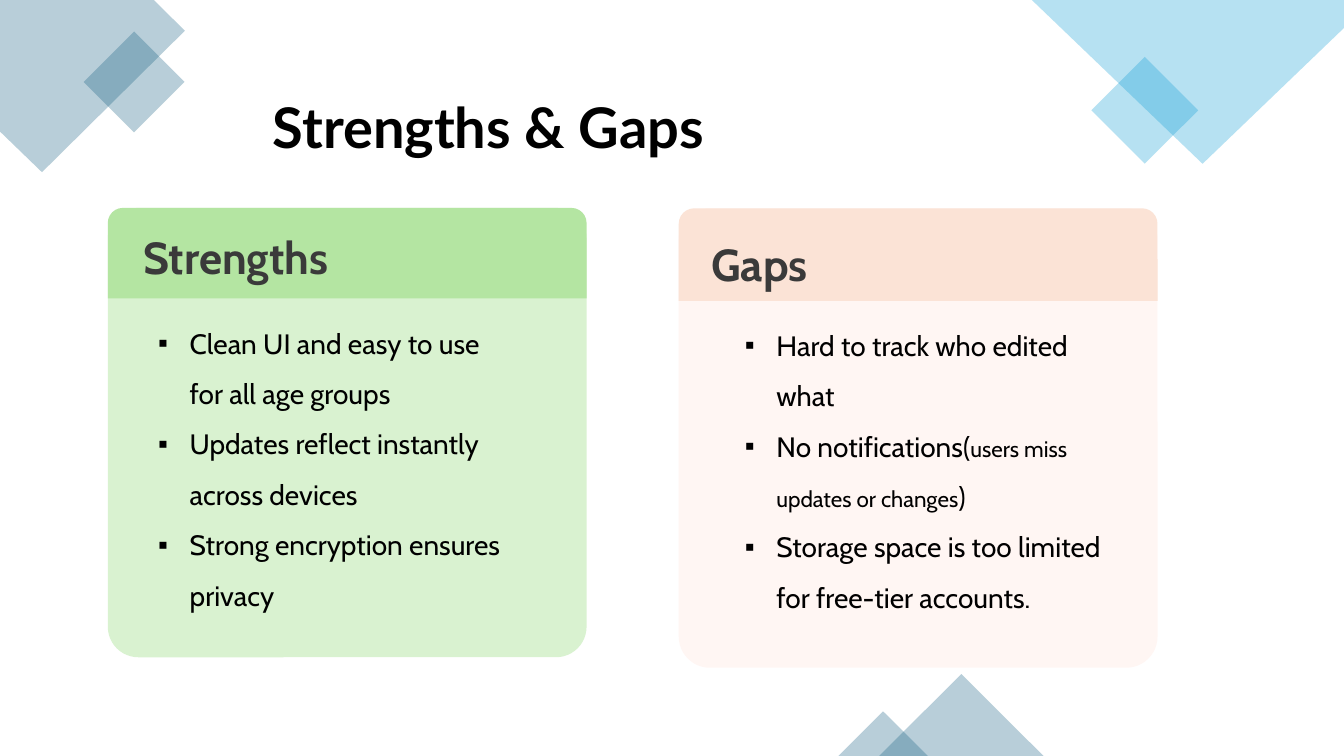
from dataclasses import dataclass

from lxml.etree import SubElement
from pptx import Presentation
from pptx.dml.color import RGBColor
from pptx.enum.shapes import MSO_SHAPE
from pptx.enum.text import MSO_ANCHOR, MSO_AUTO_SIZE, PP_ALIGN
from pptx.oxml.ns import qn
from pptx.util import Pt

BLACK = RGBColor(0x00, 0x00, 0x00)
CHARCOAL = RGBColor(0x3A, 0x3A, 0x3A)
TEAL = RGBColor(0x15, 0x60, 0x82)
SKY = RGBColor(0x0F, 0x9E, 0xD5)
GREEN_HEAD = RGBColor(0xB4, 0xE5, 0xA2)
GREEN_BODY = RGBColor(0xD9, 0xF2, 0xD0)
PEACH_HEAD = RGBColor(0xFB, 0xE3, 0xD6)
PEACH_BODY = RGBColor(0xFF, 0xF6, 0xF3)

COMPARISON_LAYOUT = 4
CARD_WIDTH = 342
BULLET_INDENT = 22.5
LIST_SIZE = 20
NOTE_SIZE = 16


@dataclass
class Box:
    left: float
    top: float
    width: float
    height: float

    def lengths(self) -> tuple:
        return Pt(self.left), Pt(self.top), Pt(self.width), Pt(self.height)


@dataclass
class Decoration:
    kind: MSO_SHAPE
    box: Box
    color: RGBColor
    rotation: float = 0


@dataclass
class Corner:
    points: list
    color: RGBColor


@dataclass
class Card:
    left: float
    top: float
    height: float
    head_height: float
    head_color: RGBColor
    body_color: RGBColor
    heading: str
    heading_box: Box
    list_box: Box
    bullets: list
    first_idx: int


CORNERS = [
    Corner([(110.2, 0), (0, 0), (0, 93.6), (29.6, 123.2), (131.8, 21.6)], TEAL),
    Corner([(960, 0), (736.6, 0), (859, 116.6), (960, 20.2)], SKY),
]

DECORATIONS = [
    Decoration(MSO_SHAPE.RECTANGLE, Box(70.3, 33, 51, 51), TEAL, 315),
    Decoration(MSO_SHAPE.RECTANGLE, Box(790.7, 51.8, 54, 54), SKY, 315),
    Decoration(MSO_SHAPE.ISOSCELES_TRIANGLE, Box(628, 481.5, 117.4, 58.5), TEAL),
    Decoration(MSO_SHAPE.ISOSCELES_TRIANGLE, Box(598.9, 508.1, 63.8, 31.9), TEAL),
]

CARDS = [
    Card(77, 148.5, 321, 64.6, GREEN_HEAD, GREEN_BODY,
         "Strengths", Box(21.3, 141.1, 294.5, 66.2),
         Box(105.8, 217.4, 262.1, 247),
         [[("Clean UI and easy to use for all age groups", LIST_SIZE)],
          [("Updates reflect instantly across devices", LIST_SIZE)],
          [("Strong encryption ensures privacy", LIST_SIZE)]], 1),
    Card(484.8, 148.8, 328.2, 66.2, PEACH_HEAD, PEACH_BODY,
         "Gaps", Box(395.3, 146.2, 294.5, 59.8),
         Box(524.9, 218.9, 277.2, 247),
         [[("Hard to track who edited what", LIST_SIZE)],
          [("No notifications(", LIST_SIZE),
           ("users miss updates or changes", NOTE_SIZE),
           (")", LIST_SIZE)],
          [("Storage space is too limited for free-tier accounts.", LIST_SIZE)]], 3),
]


def paint(sp, color: RGBColor, opacity: int = 100) -> None:
    sp.shadow.inherit = False
    sp.line.fill.background()
    sp.fill.solid()
    sp.fill.fore_color.rgb = color
    if opacity < 100:
        clr = sp.element.spPr.find(qn("a:solidFill"))[0]
        SubElement(clr, qn("a:alpha"), val=str(opacity * 1000))


def draw_corner(s, corner: Corner) -> None:
    start, *rest = corner.points
    builder = s.shapes.build_freeform(*start, scale=Pt(1))
    builder.add_line_segments(rest, close=True)
    paint(builder.convert_to_shape(), corner.color, 30)


def draw_decoration(s, item: Decoration) -> None:
    sp = s.shapes.add_shape(item.kind, *item.box.lengths())
    sp.rotation = item.rotation
    paint(sp, item.color, 30)


def place(sp, box: Box):
    sp.left, sp.top, sp.width, sp.height = box.lengths()
    sp.element.getparent().append(sp.element)
    tf = sp.text_frame
    tf.word_wrap = True
    tf.auto_size = MSO_AUTO_SIZE.NONE
    tf.vertical_anchor = MSO_ANCHOR.TOP
    return tf


def style_run(r, font: str, size: float, color: RGBColor, bold: bool) -> None:
    r.font.name = font
    r.font.size = Pt(size)
    r.font.bold = bold
    r.font.color.rgb = color


def write_heading(sp, box: Box, text: str, font: str, size: float,
                  color: RGBColor, spacing: float) -> None:
    tf = place(sp, box)
    tf.text = text
    p = tf.paragraphs[0]
    p.alignment = PP_ALIGN.CENTER
    p.line_spacing = spacing
    p.space_before = Pt(0)
    style_run(p.runs[0], font, size, color, True)


def write_list(sp, box: Box, bullets: list) -> None:
    tf = place(sp, box)
    for i, parts in enumerate(bullets):
        p = tf.add_paragraph() if i else tf.paragraphs[0]
        p.line_spacing = 1.5
        p.space_before = Pt(0)
        pPr = p._p.get_or_add_pPr()
        pPr.set("marL", str(Pt(BULLET_INDENT)))
        pPr.set("indent", str(-Pt(BULLET_INDENT)))
        SubElement(pPr, qn("a:buFont"), typeface="Arial")
        SubElement(pPr, qn("a:buChar"), char="▪")
        for text, size in parts:
            r = p.add_run()
            r.text = text
            style_run(r, "Cabin", size, BLACK, False)


def draw_card(s, card: Card, placeholders: dict) -> None:
    body = Box(card.left, card.top, CARD_WIDTH, card.height)
    head = Box(card.left, card.top, CARD_WIDTH, card.head_height)
    sp = s.shapes.add_shape(MSO_SHAPE.ROUNDED_RECTANGLE, *body.lengths())
    sp.adjustments[0] = 0.068
    paint(sp, card.body_color)
    write_list(placeholders[card.first_idx + 1], card.list_box, card.bullets)
    sp = s.shapes.add_shape(MSO_SHAPE.ROUND_2_SAME_RECTANGLE, *head.lengths())
    paint(sp, card.head_color)
    write_heading(placeholders[card.first_idx], card.heading_box,
                  card.heading, "Cabin", 32, CHARCOAL, 1.5)


def main() -> None:
    prs = Presentation()
    prs.slide_width, prs.slide_height = Pt(960), Pt(540)
    s = prs.slides.add_slide(prs.slide_layouts[COMPARISON_LAYOUT])
    placeholders = {sp.placeholder_format.idx: sp for sp in s.placeholders}
    for corner in CORNERS:
        draw_corner(s, corner)
    for item in DECORATIONS:
        draw_decoration(s, item)
    write_heading(s.shapes.title, Box(167.8, 62.6, 362.2, 55.4),
                  "Strengths & Gaps", "Lato", 40, BLACK, 1.0)
    for card in CARDS:
        draw_card(s, card, placeholders)
    prs.save("out.pptx")


if __name__ == "__main__":
    main()
